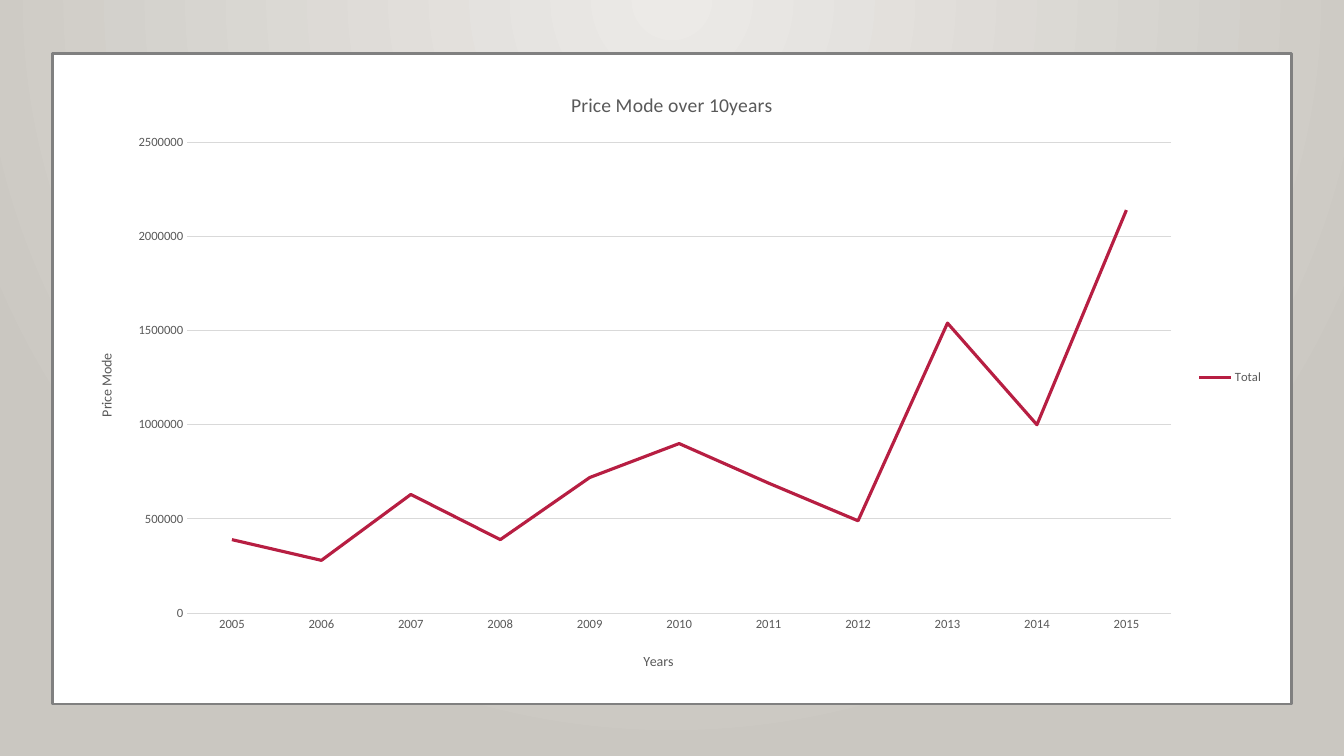
from lxml.etree import SubElement
from pptx import Presentation
from pptx.chart.data import CategoryChartData as ChartData
from pptx.dml.color import RGBColor
from pptx.enum.chart import XL_CHART_TYPE as ChartType
from pptx.enum.chart import XL_LEGEND_POSITION as LegendPosition
from pptx.enum.chart import XL_TICK_MARK as TickMark
from pptx.enum.shapes import MSO_SHAPE as Shape
from pptx.oxml.ns import qn
from pptx.util import Inches, Pt

YEARS = [str(year) for year in range(2005, 2016)]
PRICE_MODES = [390000, 280000, 630000, 390000, 720000, 900000,
               690000, 490000, 1540000, 1000000, 2140000]


def color(hex_code):
    return RGBColor.from_string(hex_code)


class SlideBuilder:
    """Holds the style and current slide, and draws each kind of element."""

    font = "Calibri"
    text, grid, accent = "595959", "D9D9D9", "B71E42"
    paper, border = "FFFFFF", "808080"
    glow = ("ECEAE7", "CAC7C1")

    def __init__(self, deck):
        self.width, self.height = deck.slide_width, deck.slide_height
        self.slide = deck.slides.add_slide(deck.slide_layouts[6])

    def area(self, left, top, width, height):
        return (round(left * self.width), round(top * self.height),
                round(width * self.width), round(height * self.height))

    def radial(self, fill, owner):
        fill.gradient()
        for stop, position, shade in zip(fill.gradient_stops, (0, 1), self.glow):
            stop.position = position
            stop.color.rgb = color(shade)
        gradient = next(owner.iter(qn("a:gradFill")))
        gradient.remove(gradient.find(qn("a:lin")))
        circle = SubElement(gradient, qn("a:path"), path="circle")
        SubElement(circle, qn("a:fillToRect"), l="43000", t="0", r="43000", b="100000")

    def background(self):
        self.radial(self.slide.background.fill, self.slide.element)

    def rectangle(self, *shares):
        shape = self.slide.shapes.add_shape(Shape.RECTANGLE, *self.area(*shares))
        shape.shadow.inherit = False
        return shape

    def backdrop(self):
        shape = self.rectangle(0, 0, 1, 1)
        self.radial(shape.fill, shape.element)
        shape.line.fill.background()

    def panel(self, *shares):
        shape = self.rectangle(*shares)
        shape.fill.solid()
        shape.fill.fore_color.rgb = color(self.paper)
        shape.line.color.rgb = color(self.border)
        shape.line.width = Pt(1.75)

    def style_font(self, font, size):
        font.name, font.size, font.bold = self.font, Pt(size), False
        font.color.rgb = color(self.text)

    def style_line(self, line, shade, width):
        line.color.rgb = color(shade)
        line.width = Pt(width)

    def place(self, owner, **shares):
        layout = owner.find(qn("c:layout"))
        if layout is None:
            layout = owner.makeelement(qn("c:layout"))
            owner.insert(0, layout)
        manual = SubElement(layout, qn("c:manualLayout"))
        if "w" in shares:
            SubElement(manual, qn("c:layoutTarget"), val="inner")
        for edge in ("x", "y"):
            SubElement(manual, qn(f"c:{edge}Mode"), val="edge")
        for key, share in shares.items():
            SubElement(manual, qn(f"c:{key}"), val=str(share))

    def title(self, title, words, size):
        title.text_frame.text = words
        for span in title.text_frame.paragraphs[0].runs:
            self.style_font(span.font, size)

    def axis(self, axis, words, rotation, **shares):
        self.title(axis.axis_title, words, 10)
        title = axis.axis_title._element
        body = next(title.iter(qn("a:bodyPr")))
        body.set("rot", str(rotation * 60000))
        body.set("vert", "horz")
        self.place(title, **shares)
        axis.major_tick_mark = axis.minor_tick_mark = TickMark.NONE
        self.style_font(axis.tick_labels.font, 9)

    def line_chart(self, shares, heading, name, categories, values):
        data = ChartData()
        data.categories = categories
        data.add_series(name, values)
        chart = self.slide.shapes.add_chart(
            ChartType.LINE, *self.area(*shares), data).chart
        self.style_font(chart.font, 10)
        self.title(chart.chart_title, heading, 14)
        chart.chart_title.include_in_layout = False
        self.place(chart.element.chart.plotArea, x=0.097, y=0.117, w=0.818, h=0.767)

        chart.has_legend = True
        chart.legend.position = LegendPosition.RIGHT
        chart.legend.include_in_layout = False
        self.style_font(chart.legend.font, 9)

        years, prices = chart.category_axis, chart.value_axis
        self.axis(years, "Years", 0, x=0.474, y=0.943)
        self.axis(prices, "Price Mode", -90, x=0.02, y=0.457)
        self.style_line(years.format.line, self.grid, 0.75)
        prices.format.line.fill.background()
        prices.minimum_scale, prices.maximum_scale = 0, 2500000
        prices.major_unit = 500000
        self.style_line(prices.major_gridlines.format.line, self.grid, 0.75)

        chart.plots[0].vary_by_categories = False
        series = chart.plots[0].series[0]
        series.smooth = False
        self.style_line(series.format.line, self.accent, 2.25)


def main():
    deck = Presentation()
    deck.slide_width, deck.slide_height = Inches(13.33), Inches(7.5)
    page = SlideBuilder(deck)
    page.background()
    page.backdrop()
    page.panel(0.039, 0.071, 0.922, 0.86)
    page.line_chart((0.0525, 0.0933, 0.895, 0.812), "Price Mode over 10years",
                    "Total", YEARS, PRICE_MODES)
    deck.save("out.pptx")


if __name__ == "__main__":
    main()
